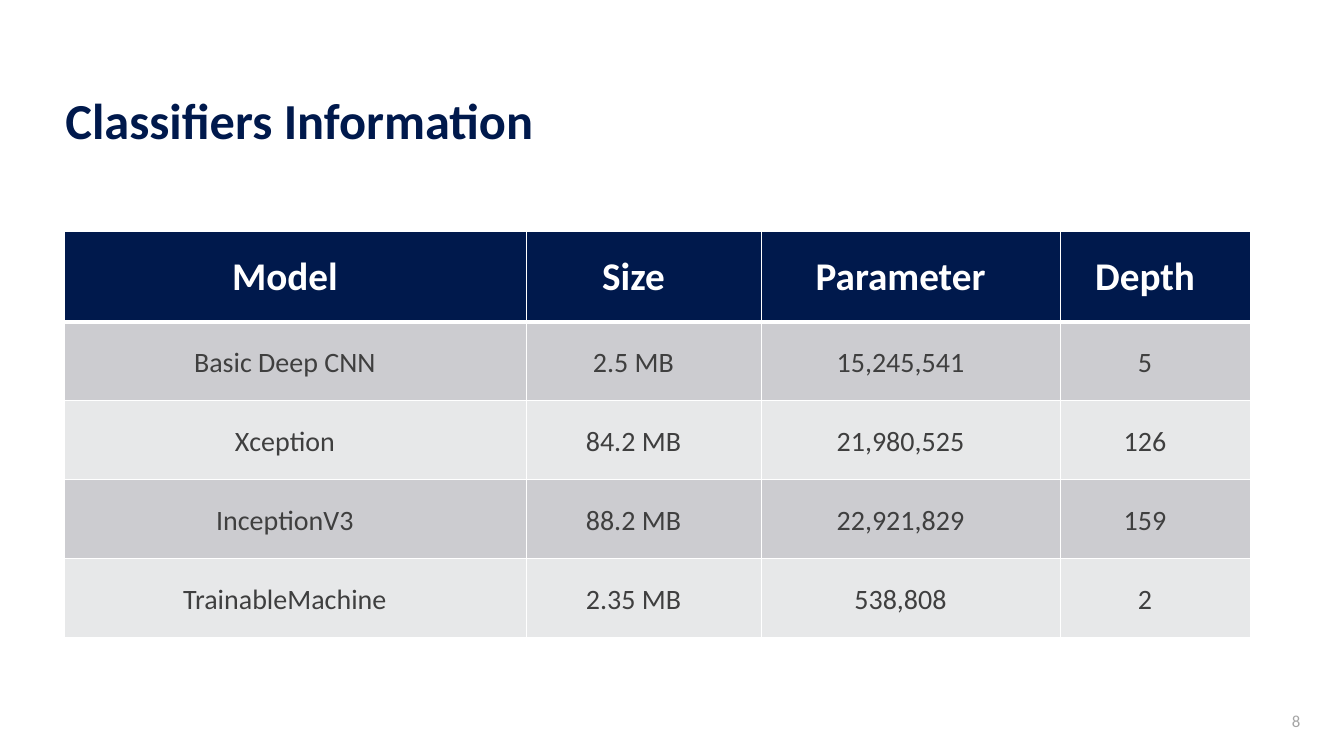
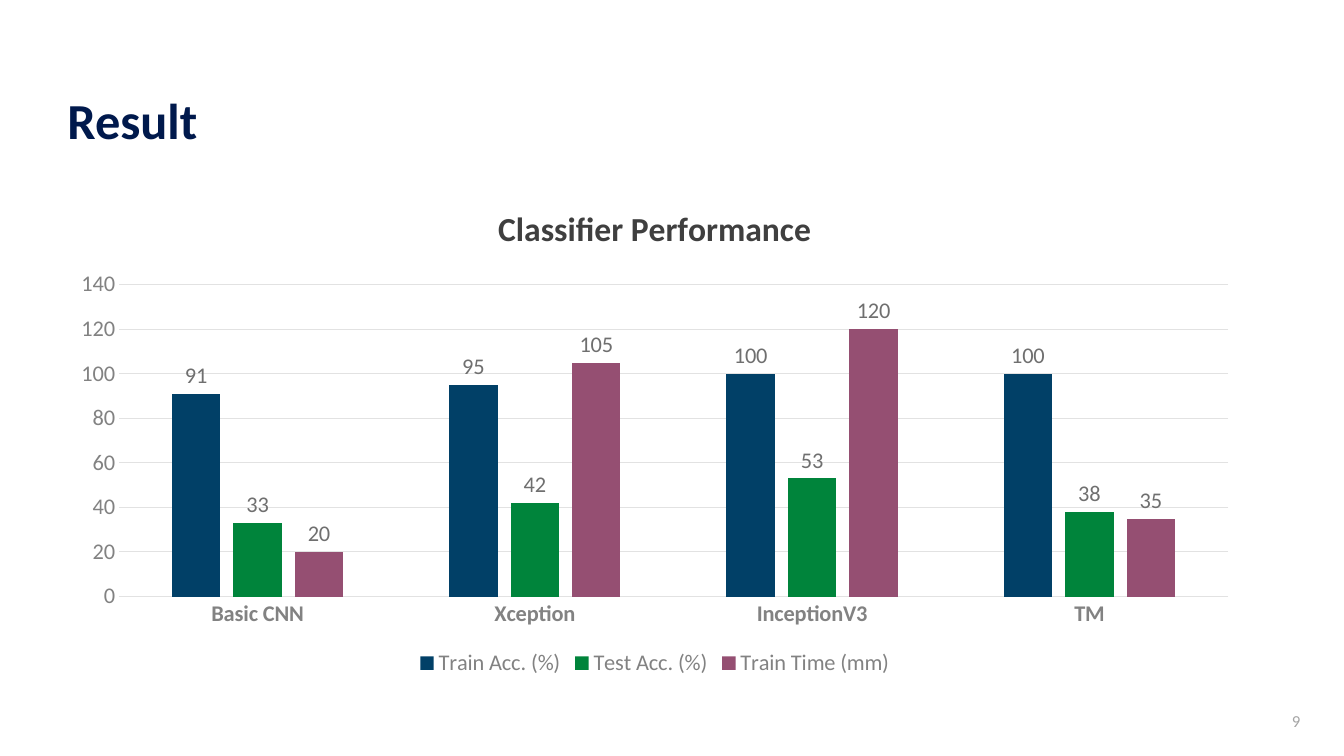
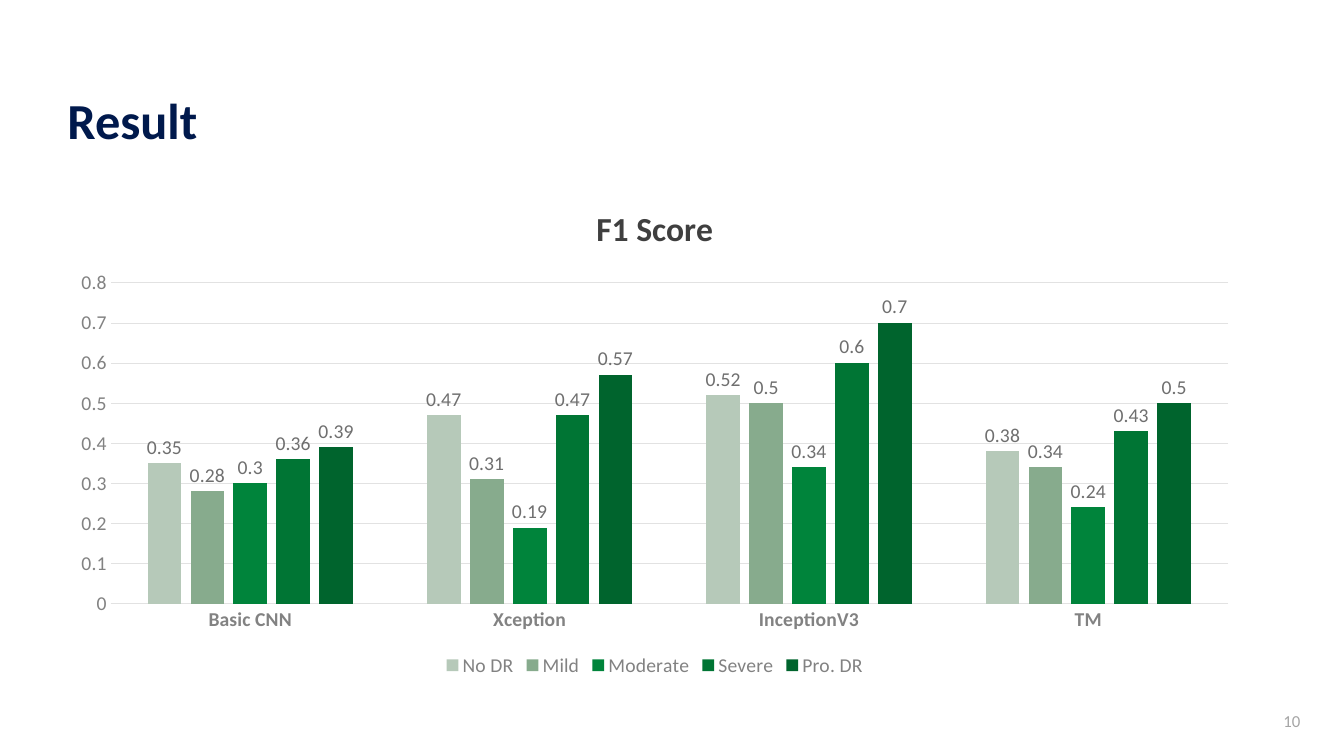
from lxml import etree
from pptx import Presentation
from pptx.chart.data import CategoryChartData
from pptx.dml.color import RGBColor
from pptx.enum.chart import XL_CHART_TYPE, XL_LABEL_POSITION, XL_LEGEND_POSITION, XL_TICK_MARK
from pptx.enum.text import MSO_ANCHOR, MSO_AUTO_SIZE, PP_ALIGN
from pptx.oxml.ns import qn
from pptx.util import Cm, Pt

CLUSTERED = XL_CHART_TYPE.COLUMN_CLUSTERED
OUTSIDE_END = XL_LABEL_POSITION.OUTSIDE_END
LEGEND_BOTTOM = XL_LEGEND_POSITION.BOTTOM
NO_TICK = XL_TICK_MARK.NONE
BOTTOM, MIDDLE = MSO_ANCHOR.BOTTOM, MSO_ANCHOR.MIDDLE
NO_AUTOFIT = MSO_AUTO_SIZE.NONE
LEFT, CENTER, RIGHT = PP_ALIGN.LEFT, PP_ALIGN.CENTER, PP_ALIGN.RIGHT

FONT = "Calibri"
WHITE = RGBColor(0xFF, 0xFF, 0xFF)
NAVY = RGBColor(0x00, 0x19, 0x4C)
DARK_GRAY = RGBColor(0x3F, 0x3F, 0x3F)
LABEL_GRAY = RGBColor(0x6F, 0x6F, 0x6F)
AXIS_GRAY = RGBColor(0x82, 0x82, 0x82)
NUMBER_GRAY = RGBColor(0xA5, 0xA5, 0xA5)
GRID_GRAY = RGBColor(0xE2, 0xE2, 0xE2)
ROW_DARK = RGBColor(0xCC, 0xCC, 0xD0)
ROW_LIGHT = RGBColor(0xE7, 0xE8, 0xE9)
BLUE = RGBColor(0x01, 0x40, 0x67)
PLUM = RGBColor(0x95, 0x4F, 0x72)
GREEN = RGBColor(0x00, 0x84, 0x3B)
PALE_GREEN = RGBColor(0xB6, 0xC9, 0xB9)
SAGE = RGBColor(0x87, 0xAB, 0x8D)
DEEP_GREEN = RGBColor(0x00, 0x75, 0x34)
DARKEST_GREEN = RGBColor(0x00, 0x64, 0x2D)

CLASSIFIERS = ["Basic CNN", "Xception", "InceptionV3", "TM"]
MODEL_ROWS = [
    ["Model", "Size", "Parameter", "Depth"],
    ["Basic Deep CNN", "2.5 MB", "15,245,541", "5"],
    ["Xception", "84.2 MB", "21,980,525", "126"],
    ["InceptionV3", "88.2 MB", "22,921,829", "159"],
    ["TrainableMachine", "2.35 MB", "538,808", "2"],
]
PERFORMANCE = [
    ("Train Acc. (%)", [91, 95, 100, 100], BLUE),
    ("Test Acc. (%)", [33, 42, 53, 38], GREEN),
    ("Train Time (mm)", [20, 105, 120, 35], PLUM),
]
F1_SCORES = [
    ("No DR", [0.35, 0.47, 0.52, 0.38], PALE_GREEN),
    ("Mild", [0.28, 0.31, 0.5, 0.34], SAGE),
    ("Moderate", [0.3, 0.19, 0.34, 0.24], GREEN),
    ("Severe", [0.36, 0.47, 0.6, 0.43], DEEP_GREEN),
    ("Pro. DR", [0.39, 0.57, 0.7, 0.5], DARKEST_GREEN),
]


def style_font(font, size, color, bold=False):
    font.name = FONT
    font.size = Pt(size)
    font.bold = bold
    font.color.rgb = color


def style_line(line, color):
    line.color.rgb = color
    line.width = Pt(0.75)


def set_margins(box, left, top, right, bottom):
    box.margin_left, box.margin_top = Cm(left), Cm(top)
    box.margin_right, box.margin_bottom = Cm(right), Cm(bottom)


def add_run(paragraph, text, size, color, bold=False):
    run = paragraph.add_run()
    run.text = text
    style_font(run.font, size, color, bold)


def draw_borders(cell, widths):
    """Give the cell white borders; widths maps a side (L, R, T, B) to points."""
    properties = cell._tc.get_or_add_tcPr()
    for position, side in enumerate("LRTB"):
        border = etree.Element(qn(f"a:ln{side}"), w=str(Pt(widths[side])))
        fill = etree.SubElement(border, qn("a:solidFill"))
        etree.SubElement(fill, qn("a:srgbClr"), val=str(WHITE))
        properties.insert(position, border)


class Deck:
    def __init__(self, first_number):
        self.presentation = Presentation()
        self.presentation.slide_width = Cm(33.87)
        self.presentation.slide_height = Cm(19.05)
        self.next_number = first_number
        self.slide = None

    def add_slide(self, title, left=1.45):
        layout = self.presentation.slide_layouts[5]
        self.slide = self.presentation.slides.add_slide(layout)
        self.add_title(title, left)
        self.add_number()

    def add_title(self, text, left):
        title = self.slide.shapes.title
        title.left, title.top = Cm(left), Cm(0.58)
        title.width, title.height = Cm(23.14), Cm(3.2)
        frame = title.text_frame
        frame.auto_size = NO_AUTOFIT
        frame.word_wrap = True
        frame.vertical_anchor = BOTTOM
        set_margins(frame, 0.25, 0.13, 0.25, 0)
        paragraph = frame.paragraphs[0]
        paragraph.alignment = LEFT
        paragraph.line_spacing = 0.9
        add_run(paragraph, text, 36, NAVY, bold=True)

    def add_number(self):
        box = self.slide.shapes.add_textbox(Cm(30.96), Cm(17.65), Cm(2.06), Cm(1.02))
        frame = box.text_frame
        frame.word_wrap = True
        frame.vertical_anchor = MIDDLE
        paragraph = frame.paragraphs[0]
        paragraph.alignment = RIGHT
        paragraph.space_after = Pt(6)
        add_run(paragraph, str(self.next_number), 12, NUMBER_GRAY)
        self.next_number += 1

    def add_table(self, rows, column_widths, header_height, row_height):
        heights = [header_height] + [row_height] * (len(rows) - 1)
        table = self.slide.shapes.add_table(
            len(rows), len(column_widths), Cm(1.63), Cm(5.82),
            Cm(sum(column_widths)), Cm(sum(heights))).table
        for column, width in zip(table.columns, column_widths):
            column.width = Cm(width)
        for index, (row, height, texts) in enumerate(zip(table.rows, heights, rows)):
            row.height = Cm(height)
            for cell, text in zip(row.cells, texts):
                self.fill_cell(cell, text, index)

    def fill_cell(self, cell, text, row_index):
        is_header = row_index == 0
        cell.vertical_anchor = BOTTOM
        set_margins(cell, 0, 0.1 if is_header else 0.15, 0.53, 0.53)
        paragraph = cell.text_frame.paragraphs[0]
        paragraph.alignment = CENTER
        cell.fill.solid()
        if is_header:
            cell.fill.fore_color.rgb = NAVY
            add_run(paragraph, text, 28, WHITE, bold=True)
        else:
            cell.fill.fore_color.rgb = ROW_DARK if row_index % 2 else ROW_LIGHT
            add_run(paragraph, text, 20, DARK_GRAY)
        draw_borders(cell, {"L": 1, "R": 1, "T": 3 if row_index == 1 else 1,
                            "B": 3 if is_header else 1})

    def add_column_chart(self, title, categories, series, size):
        data = CategoryChartData()
        data.categories = categories
        for name, values, _ in series:
            data.add_series(name, values)
        chart = self.slide.shapes.add_chart(
            CLUSTERED, Cm(1.45), Cm(4.65), Cm(30.1), Cm(12.52), data).chart
        style_font(chart.font, size, DARK_GRAY)

        chart.has_title = True
        add_run(chart.chart_title.text_frame.paragraphs[0], title, 24, DARK_GRAY, bold=True)
        chart.chart_title.include_in_layout = False
        chart.has_legend = True
        chart.legend.position = LEGEND_BOTTOM
        chart.legend.include_in_layout = False
        style_font(chart.legend.font, size, AXIS_GRAY)

        for axis in (chart.category_axis, chart.value_axis):
            axis.major_tick_mark = axis.minor_tick_mark = NO_TICK
            style_font(axis.tick_labels.font, size, AXIS_GRAY, bold=axis is chart.category_axis)
        category_axis, value_axis = chart.category_axis, chart.value_axis
        style_font(category_axis.tick_labels.font, size, AXIS_GRAY, bold=True)
        style_line(category_axis.format.line, GRID_GRAY)
        value_axis.format.line.fill.background()
        value_axis.has_major_gridlines = True
        style_line(value_axis.major_gridlines.format.line, GRID_GRAY)

        plot = chart.plots[0]
        plot.vary_by_categories = False
        plot.gap_width = 219
        plot.overlap = -27
        for columns, (_, _, color) in zip(plot.series, series):
            columns.format.fill.solid()
            columns.format.fill.fore_color.rgb = color
            columns.invert_if_negative = False
            labels = columns.data_labels
            labels.show_value = True
            labels.position = OUTSIDE_END
            style_font(labels.font, size, LABEL_GRAY)


def main():
    deck = Deck(first_number=8)

    deck.add_slide("Classifiers Information", left=1.4)
    deck.add_table(MODEL_ROWS, [11.63, 5.94, 7.52, 4.8], header_height=2.29, row_height=1.99)

    deck.add_slide("Result")
    deck.add_column_chart("Classifier Performance", CLASSIFIERS, PERFORMANCE, size=16)

    deck.add_slide("Result")
    deck.add_column_chart("F1 Score", CLASSIFIERS, F1_SCORES, size=14)

    deck.presentation.save("out.pptx")


if __name__ == "__main__":
    main()
